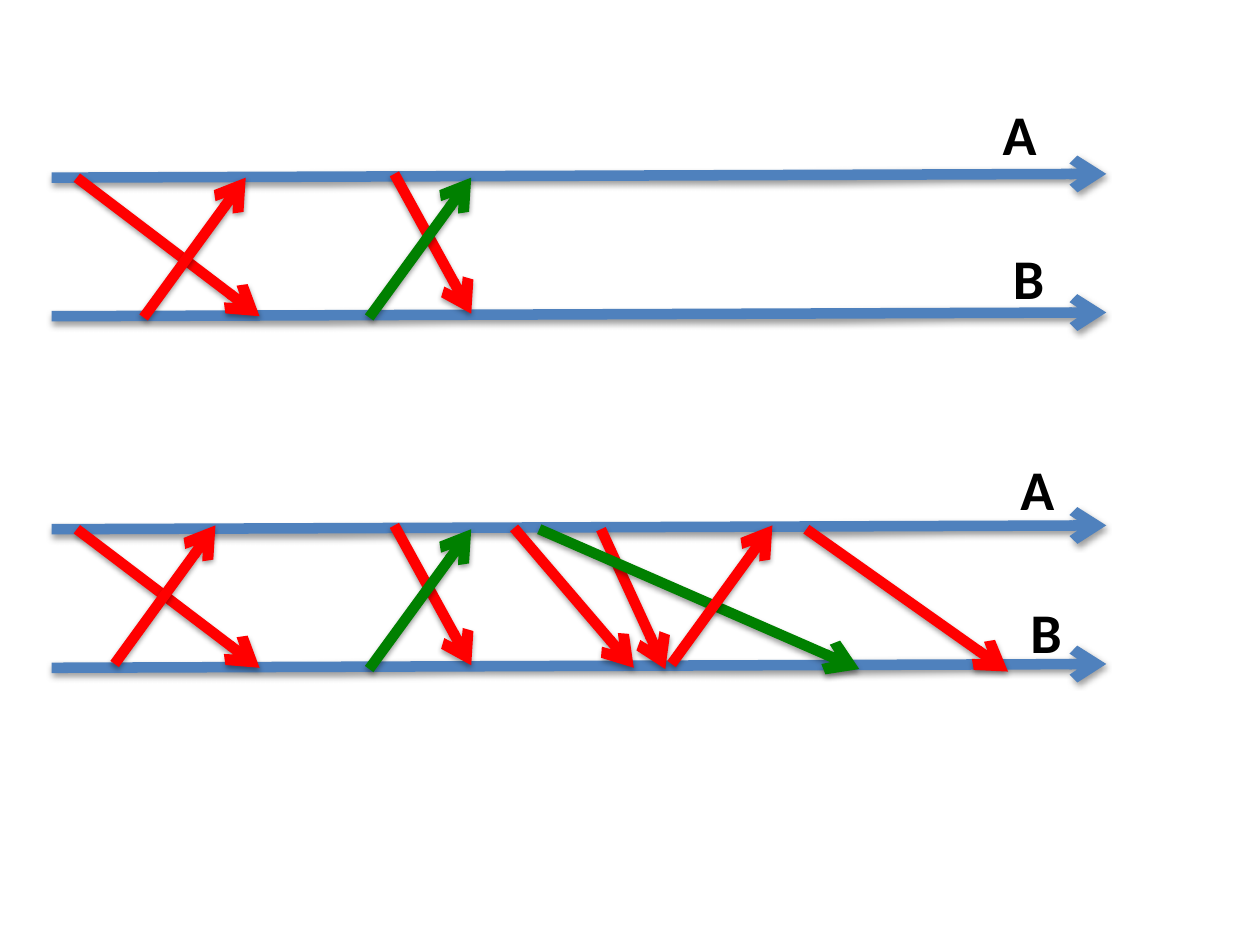
from lxml import etree
from pptx import Presentation
from pptx.dml.color import RGBColor
from pptx.enum.shapes import MSO_CONNECTOR
from pptx.enum.text import MSO_AUTO_SIZE
from pptx.oxml import parse_xml
from pptx.util import Inches, Pt

STRAIGHT = MSO_CONNECTOR.STRAIGHT
GROW = MSO_AUTO_SIZE.SHAPE_TO_FIT_TEXT
NS = "http://schemas.openxmlformats.org/drawingml/2006/main"
BLUE, RED, GREEN, BLACK = "4F81BD", "FF0000", "008000", "000000"
SHADOW = (
    f'<a:effectLst xmlns:a="{NS}">'
    '<a:outerShdw blurRad="40000" dist="20000" dir="5400000" rotWithShape="0">'
    f'<a:srgbClr val="{BLACK}"><a:alpha val="38000"/></a:srgbClr>'
    "</a:outerShdw></a:effectLst>"
)

RAILS = [(0.41, 0.03, 8.78, 0, BLUE), (0.41, 1.13, 8.78, 1.1, BLUE)]
SHARED = [(0.61, 0.03, 2.06, 1.13, RED), (3.13, 0, 3.74, 1.11, RED)]
REPLY = (2.93, 1.14, 3.74, 0.03, GREEN)
PANELS = [
    {
        "top": 1.38,
        "arrows": [*SHARED, REPLY, (1.14, 1.14, 1.95, 0.03, RED)],
        "labels": [("A", 7.86, -0.64, 0.47), ("B", 7.94, 0.5, 0.45)],
    },
    {
        "top": 4.17,
        "arrows": [
            *SHARED,
            (4.08, 0.02, 5.03, 1.13, RED),
            (4.77, 0.03, 5.28, 1.14, RED),
            REPLY,
            (4.28, 0.03, 6.82, 1.14, GREEN),
            (6.4, 0.03, 8, 1.16, RED),
            (0.91, 1.1, 1.71, 0, RED),
            (5.33, 1.1, 6.13, 0, RED),
        ],
        "labels": [("A", 8, -0.61, 0.47), ("B", 8.08, 0.52, 0.45)],
    },
]


def color(code):
    """Turn a hex string into a colour."""
    return RGBColor.from_string(code)


def add_arrow(slide, top, x1, y1, x2, y2, hue):
    """Draw a shadowed arrow with heights measured from the panel top."""
    ends = [Inches(v) for v in (x1, top + y1, x2, top + y2)]
    arrow = slide.shapes.add_connector(STRAIGHT, *ends)
    arrow.line.color.rgb = color(hue)
    arrow.line.width = Pt(6)
    line = arrow.line._get_or_add_ln()
    etree.SubElement(line, f"{{{NS}}}tailEnd", type="arrow")
    arrow._element.spPr.append(parse_xml(SHADOW))


def add_text(slide, text, x, y, width, size=32, hue=BLACK, bold=True):
    """Place one line of text in a box that fits it."""
    box = slide.shapes.add_textbox(*[Inches(v) for v in (x, y, width, 0.64)])
    frame = box.text_frame
    frame.word_wrap = False
    frame.auto_size = GROW
    run = frame.paragraphs[0].add_run()
    run.text = text
    run.font.name = "Calibri"
    run.font.size = Pt(size)
    run.font.bold = bold
    run.font.color.rgb = color(hue)


def main():
    """Build the slide with both message timelines."""
    deck = Presentation()
    deck.slide_width, deck.slide_height = Inches(10), Inches(7.5)
    slide = deck.slides.add_slide(deck.slide_layouts[6])
    for panel in PANELS:
        top = panel["top"]
        for arrow in RAILS + panel["arrows"]:
            add_arrow(slide, top, *arrow)
        for text, x, y, width in panel["labels"]:
            add_text(slide, text, x, top + y, width)
    deck.save("out.pptx")


if __name__ == "__main__":
    main()
